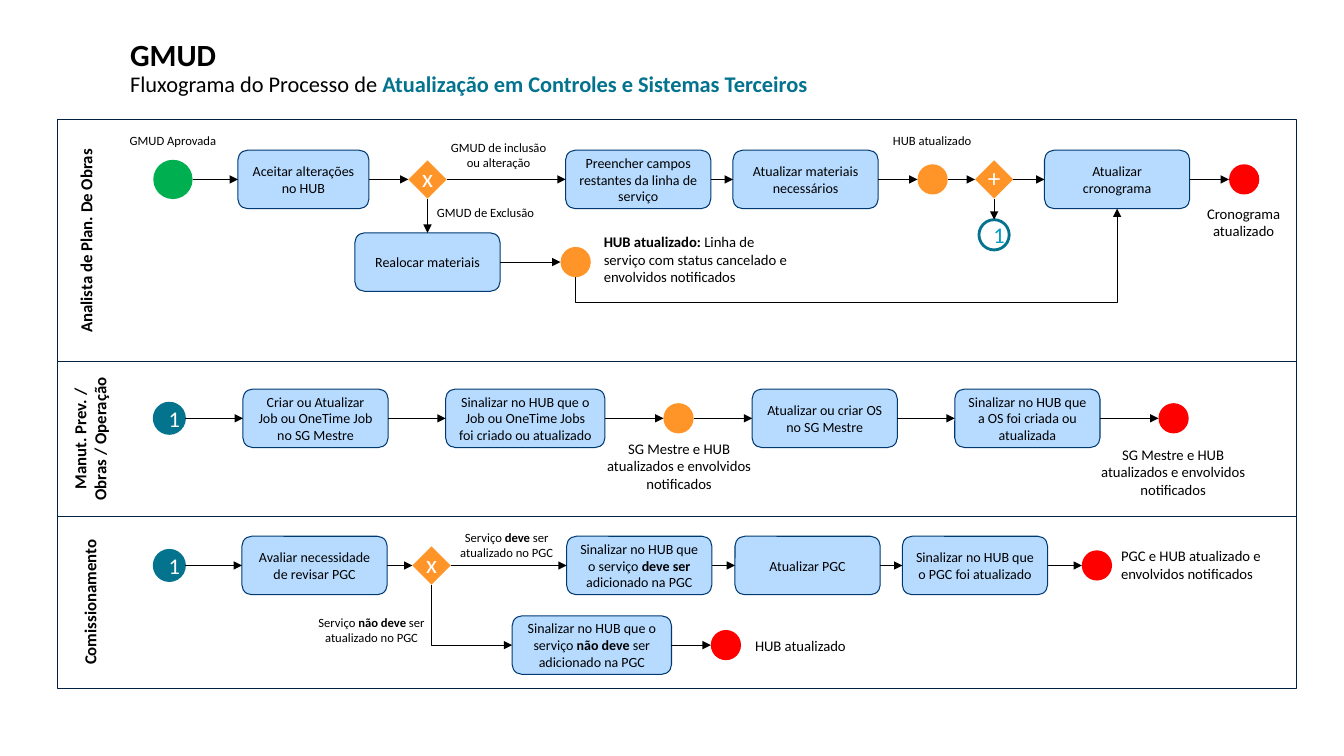
from lxml import etree
from pptx import Presentation
from pptx.dml.color import RGBColor
from pptx.enum.shapes import MSO_CONNECTOR as Connector, MSO_SHAPE as Preset
from pptx.enum.text import MSO_ANCHOR as Anchor, MSO_AUTO_SIZE as AutoSize, PP_ALIGN as Align
from pptx.oxml.ns import qn
from pptx.util import Pt

PX = 9144
TOP, LEFT, BOTTOM, RIGHT = range(4)
COLORS = {
    "black": "000000", "white": "FFFFFF", "lane": "002142", "task": "B7DBFF", "border": "003971",
    "green": "00B050", "orange": "FF9529", "red": "FF0000", "teal": "03738E", "cyan": "009DC3",
}
NODES = {
    "start": dict(preset=Preset.OVAL, width=39, height=39, fill="green"),
    "event": dict(preset=Preset.OVAL, width=30, height=30, fill="orange"),
    "end": dict(preset=Preset.OVAL, width=30, height=30, fill="red"),
    "task": dict(preset=Preset.ROUNDED_RECTANGLE, width=144, height=58, fill="task",
                 line=("border", 0.75), size=10, color="black"),
    "gate": dict(preset=Preset.DIAMOND, width=38, height=38, fill="orange", size=18, color="white"),
    "link": dict(preset=Preset.OVAL, width=30, height=30, fill="teal",
                 line=("teal", 2), size=16, color="white"),
    "ring": dict(preset=Preset.OVAL, width=30, height=30, fill="white",
                 line=("teal", 2), size=16, color="cyan"),
}


def px(*lengths):
    return [round(length * PX) for length in lengths]


def rgb(name):
    return RGBColor.from_string(COLORS[name])


def set_all(target, values):
    for name, value in values.items():
        setattr(target, name, value)


def add_run(paragraph, text, size, color="black", bold=False):
    run = paragraph.add_run()
    run.text = text
    set_all(run.font, {"name": "Calibri", "size": Pt(size), "bold": bold})
    run.font.color.rgb = rgb(color)


def write(paragraph, text, size, color="black", align=Align.CENTER):
    paragraph.alignment = align
    for index, part in enumerate(text.split("**")):
        if part:
            add_run(paragraph, part, size, color, index % 2 == 1)


def add_label(slide, box, place, text, size, align=Align.CENTER, rotation=0):
    left, top, width, height = place
    label = slide.shapes.add_textbox(*px(box[0] + left, box[1] + top, width, height))
    label.rotation = rotation
    set_all(label.text_frame, {"word_wrap": True, "auto_size": AutoSize.SHAPE_TO_FIT_TEXT})
    write(label.text_frame.paragraphs[0], text, size, align=align)


def style_shape(shape, fill, line):
    shape.shadow.inherit = False
    if fill:
        shape.fill.solid()
        shape.fill.fore_color.rgb = rgb(fill)
    else:
        shape.fill.background()
    if line:
        shape.line.color.rgb = rgb(line[0])
        shape.line.width = Pt(line[1])
    else:
        shape.line.fill.background()


def add_node(slide, box, axis, kind, left, text="", width=None):
    node = NODES[kind]
    height = node["height"]
    shape = slide.shapes.add_shape(node["preset"], *px(
        box[0] + left, box[1] + axis - height / 2, width or node["width"], height))
    style_shape(shape, node["fill"], node.get("line"))
    if text:
        frame = shape.text_frame
        frame.vertical_anchor = Anchor.MIDDLE
        if kind == "gate":
            set_all(frame, {"margin_left": 0, "margin_top": 0, "margin_right": 0,
                            "margin_bottom": 4 * PX, "word_wrap": False})
        write(frame.paragraphs[0], text, node["size"], node["color"])
    return shape


def style_arrow(arrow):
    arrow.line.color.rgb = rgb("black")
    arrow.line.width = Pt(0.75)
    etree.SubElement(arrow.line._get_or_add_ln(), qn("a:tailEnd"), type="triangle")
    etree.SubElement(arrow._element.spPr, qn("a:effectLst"))


def side_point(shape, side):
    middle_x, middle_y = shape.left + shape.width // 2, shape.top + shape.height // 2
    return {TOP: (middle_x, shape.top), LEFT: (shape.left, middle_y),
            BOTTOM: (middle_x, shape.top + shape.height),
            RIGHT: (shape.left + shape.width, middle_y)}[side]


def add_arrow(slide, first, last, first_side=RIGHT, last_side=LEFT):
    arrow = slide.shapes.add_connector(
        Connector.STRAIGHT, *side_point(first, first_side), *side_point(last, last_side))
    if first.auto_shape_type != Preset.OVAL:
        arrow.begin_connect(first, first_side)
    if last.auto_shape_type != Preset.OVAL:
        arrow.end_connect(last, last_side)
    style_arrow(arrow)


def add_elbow(slide, start, end, preset, turn, bend=None):
    width, height = abs(end[1] - start[1]), abs(end[0] - start[0])
    left = (start[0] + end[0] - width) // 2
    top = (start[1] + end[1] - height) // 2
    arrow = slide.shapes.add_connector(Connector.ELBOW, left, top, left + width, top + height)
    properties = arrow._element.spPr
    for name, value in turn.items():
        properties.find(qn("a:xfrm")).set(name, value)
    geometry = properties.find(qn("a:prstGeom"))
    geometry.set("prst", preset)
    if bend is not None:
        guides = geometry.find(qn("a:avLst"))
        if guides is None:
            guides = etree.SubElement(geometry, qn("a:avLst"))
        etree.SubElement(guides, qn("a:gd"), name="adj1", fmla=f"val {bend}")
    style_arrow(arrow)


def add_flow(slide, box, axis, nodes):
    shapes = [add_node(slide, box, axis, *node) for node in nodes]
    for first, last in zip(shapes, shapes[1:]):
        add_arrow(slide, first, last)
    return shapes


def add_lane(slide, box, title, center, length, thickness):
    lane = slide.shapes.add_shape(Preset.RECTANGLE, *px(*box))
    style_shape(lane, None, ("lane", 0.75))
    place = (center - length / 2, (box[3] - thickness) / 2, length, thickness)
    add_label(slide, box, place, f"**{title}**", 12, rotation=270)


def add_title(slide, box):
    title = slide.shapes.title
    set_all(title, dict(zip(("left", "top", "width", "height"), px(*box))))
    set_all(title.text_frame, {"vertical_anchor": Anchor.MIDDLE, "word_wrap": True,
                               "auto_size": AutoSize.NONE})
    paragraph = title.text_frame.paragraphs[0]
    set_all(paragraph, {"alignment": Align.LEFT, "line_spacing": 0.9})
    add_run(paragraph, "GMUD", 22, bold=True)
    paragraph.add_line_break()
    etree.SubElement(paragraph._p.find(qn("a:br")), qn("a:rPr"), sz="2200")
    add_run(paragraph, "Fluxograma do Processo de ", 16)
    add_run(paragraph, "Atualização em Controles e Sistemas Terceiros", 16, "teal", True)


def add_planning_lane(slide, box):
    add_lane(slide, box, "Analista de Plan. De Obras", 28, 214, 30)
    main = add_flow(slide, box, 59, [
        ("start", 95), ("task", 179, "Aceitar alterações no HUB", 130), ("gate", 348, "x"),
        ("task", 504, "Preencher campos restantes da linha de serviço"),
        ("task", 670, "Atualizar materiais necessários"), ("event", 853),
        ("gate", 910, "+"), ("task", 979, "Atualizar cronograma"), ("end", 1162)])
    moved = add_flow(slide, box, 141, [("task", 295, "Realocar materiais"), ("event", 499)])
    ring = add_node(slide, box, 114, "ring", 914, "1")
    add_arrow(slide, main[2], moved[0], BOTTOM, TOP)
    add_arrow(slide, main[6], ring, BOTTOM, TOP)
    add_elbow(slide, side_point(moved[1], BOTTOM), side_point(main[7], BOTTOM),
              "bentConnector3", {"rot": "5400000", "flipH": "1", "flipV": "1"}, -36700)
    for place, text in [
            ((51, 8, 127, 25), "GMUD Aprovada"), ((804, 8, 127, 25), "HUB atualizado"),
            ((361, 79, 127, 25), "GMUD de Exclusão"),
            ((374, 15, 127, 40), "GMUD de inclusão ou alteração")]:
        add_label(slide, box, place, text, 9)
    add_label(slide, box, (1129, 79, 95, 45), "Cronograma atualizado", 10.5)
    add_label(slide, box, (532, 107, 203, 63), "**HUB atualizado: **Linha de serviço com "
              "status cancelado e envolvidos notificados", 10.5, Align.LEFT)


def add_operation_lane(slide, box):
    add_lane(slide, box, "Manut. Prev. / Obras / Operação", 32, 147, 50)
    add_flow(slide, box, 56, [
        ("link", 96, "1"), ("task", 184, "Criar ou Atualizar Job ou OneTime Job no SG Mestre"),
        ("task", 385, "Sinalizar no HUB que o Job ou OneTime Jobs foi criado ou atualizado", 158),
        ("event", 601), ("task", 689, "Atualizar ou criar OS no SG Mestre"),
        ("task", 890, "Sinalizar no HUB que a OS foi criada ou atualizada"), ("end", 1092)])
    for left, top in [(532, 72), (1022, 78)]:
        add_label(slide, box, (left, top, 169, 63),
                  "SG Mestre e HUB atualizados e envolvidos notificados", 10.5)


def add_commissioning_lane(slide, box):
    add_lane(slide, box, "Comissionamento", 32, 155, 30)
    main = add_flow(slide, box, 49, [
        ("link", 96, "1"), ("task", 183, "Avaliar necessidade de revisar PGC"),
        ("gate", 352, "x"),
        ("task", 505, "Sinalizar no HUB que o serviço **deve ser **adicionado na PGC"),
        ("task", 672, "Atualizar PGC"),
        ("task", 838, "Sinalizar no HUB que o PGC foi atualizado"), ("end", 1016)])
    skipped = add_flow(slide, box, 128, [
        ("task", 451, "Sinalizar no HUB que o serviço **não deve** ser adicionado na PGC", 158),
        ("end", 648)])
    add_elbow(slide, side_point(main[2], BOTTOM), side_point(skipped[0], LEFT),
              "bentConnector2", {"rot": "16200000", "flipH": "1"})
    add_label(slide, box, (382, 9, 127, 40), "Serviço **deve** ser atualizado no PGC", 9)
    add_label(slide, box, (248, 93, 127, 40), "Serviço **não deve** ser atualizado no PGC", 9)
    add_label(slide, box, (1045, 26, 175, 45),
              "PGC e HUB atualizado e envolvidos notificados", 10.5, Align.LEFT)
    add_label(slide, box, (682, 115, 116, 28), "HUB atualizado", 10.5, Align.LEFT)


def main():
    presentation = Presentation()
    presentation.slide_width, presentation.slide_height = px(1333, 750)
    slide = presentation.slides.add_slide(presentation.slide_layouts[5])
    add_title(slide, (119, 33, 1147, 71))
    add_planning_lane(slide, (57, 119, 1229, 240))
    add_operation_lane(slide, (57, 359, 1229, 153))
    add_commissioning_lane(slide, (57, 512, 1229, 171))
    presentation.save("out.pptx")


if __name__ == "__main__":
    main()
